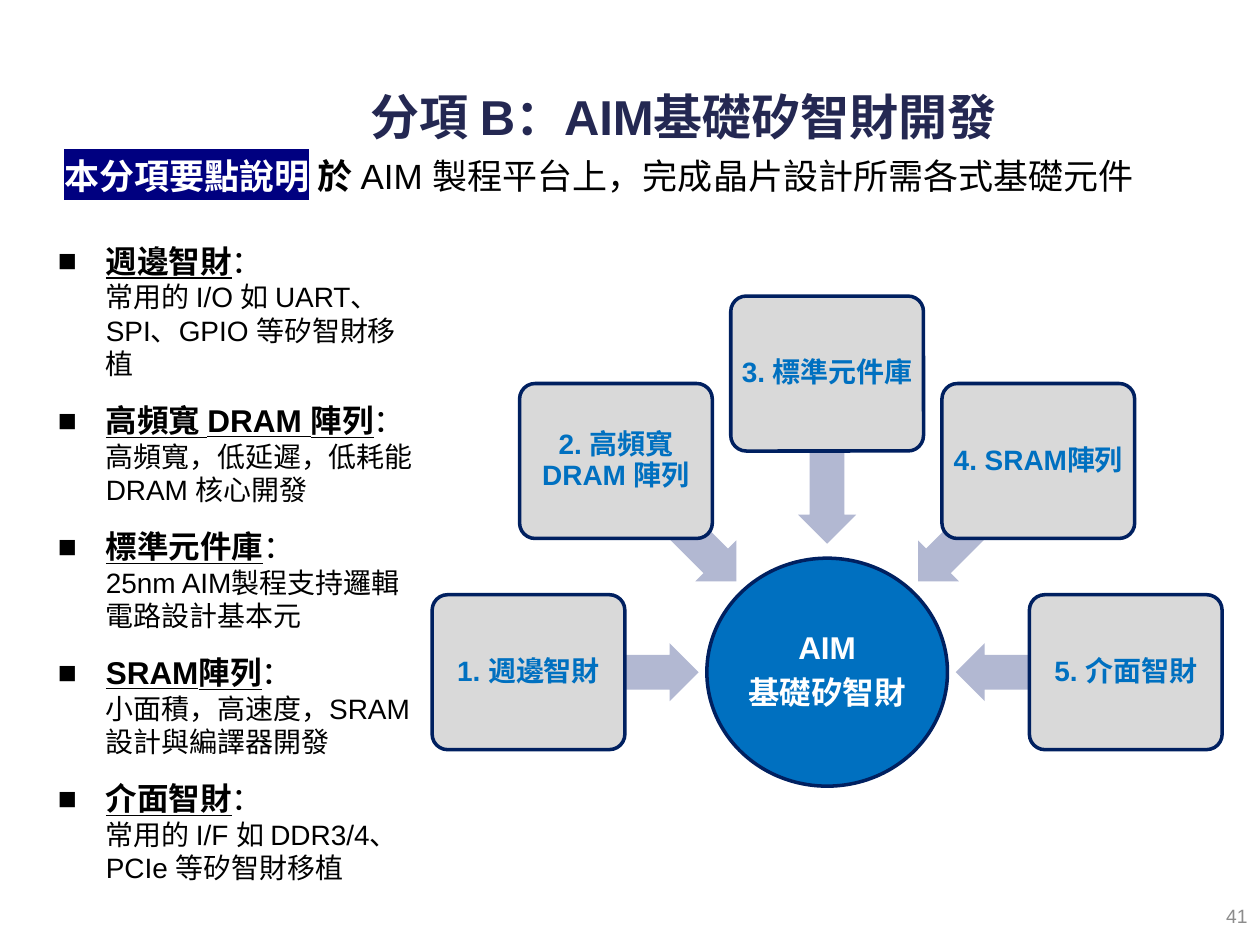
from math import cos, radians, sin

from lxml import etree
from pptx import Presentation, util as u
from pptx.dml.color import RGBColor
from pptx.enum import shapes, text
from pptx.oxml.ns import qn

NAVY = RGBColor(0x00, 0x20, 0x60)
BLUE = RGBColor(0x00, 0x70, 0xC0)
INK = RGBColor(0x24, 0x28, 0x52)
LILAC = RGBColor(0xB2, 0xB8, 0xD2)
PALE = RGBColor(0xD9, 0xD9, 0xD9)
GRAY = RGBColor(0x8C, 0x8C, 0x8C)
BLACK = RGBColor(0, 0, 0)
WHITE = RGBColor(0xFF, 0xFF, 0xFF)
MARK = RGBColor(0, 0, 0x80)

WIDE, HIGH = u.Inches(10), u.Inches(7.5)
COLS, ROWS = 100, 75
HUB = (65.65, 53.35)
FONT = "Arial"

TOPICS = [
    ([("週邊智財", True), ("：", False)],
     "常用的 I/O 如 UART、SPI、GPIO 等矽智財移植"),
    ([("高頻寬 DRAM 陣列", True), ("：", False)],
     "高頻寬，低延遲，低耗能 DRAM 核心開發"),
    ([("標準元件庫", True), ("：", False)],
     "25nm AIM製程支持邏輯電路設計基本元"),
    ([("SRAM陣列", True), ("：", False)],
     "小面積，高速度，SRAM 設計與編譯器開發"),
    ([("介面智財", True), ("：", False)],
     "常用的 I/F 如 DDR3/4、PCIe 等矽智財移植"),
]
PARTS = ["1. 週邊智財", "2. 高頻寬 DRAM 陣列", "3. 標準元件庫",
         "4. SRAM陣列", "5. 介面智財"]


def area(x, y, w, h):
    return (round(WIDE * x / COLS), round(HIGH * y / ROWS),
            round(WIDE * w / COLS), round(HIGH * h / ROWS))


def place(shape, *cells):
    shape.left, shape.top, shape.width, shape.height = area(*cells)


def write(para, words, size, color, bold=False, line=False):
    run = para.add_run()
    run.text = words
    font = run.font
    font.name, font.size, font.bold = FONT, u.Pt(size), bold
    font.color.rgb = color
    if line:
        font.underline = True
    return run


def mark(run, color):
    fill = run._r.rPr.find(qn("a:solidFill"))
    light = etree.Element(qn("a:highlight"))
    etree.SubElement(light, qn("a:srgbClr"), val=str(color))
    fill.addnext(light)


def inset(frame, left=0, top=0):
    frame.margin_left = frame.margin_right = u.Inches(left)
    frame.margin_top = frame.margin_bottom = u.Inches(top)


def label(slide, *cells):
    frame = slide.shapes.add_textbox(*area(*cells)).text_frame
    frame.word_wrap = True
    inset(frame, 0.1, 0.05)
    return frame.paragraphs[0]


def bullet(para):
    props = para._p.get_or_add_pPr()
    props.set("marL", str(u.Inches(0.38)))
    props.set("indent", str(u.Inches(-0.38)))
    etree.SubElement(props, qn("a:buFont"), typeface=FONT)
    etree.SubElement(props, qn("a:buChar"), char="■")


def fill_list(body):
    place(body, 4.6, 19.2, 29, 54)
    frame = body.text_frame
    frame.auto_size = text.MSO_AUTO_SIZE.NONE
    frame.vertical_anchor = text.MSO_ANCHOR.TOP
    inset(frame)
    for i, (head, note) in enumerate(TOPICS):
        para = frame.add_paragraph() if i else frame.paragraphs[0]
        para.space_before = u.Pt(12 if i else 0)
        bullet(para)
        for words, strong in head:
            write(para, words, 18, BLACK, strong, strong)
        para.add_line_break()
        etree.SubElement(para._p[-1], qn("a:rPr"), sz="1800")
        write(para, note, 16, BLACK)


def draw(slide, kind, mid, size, fill, adjust=(), line=None):
    (x, y), (w, h) = mid, size
    shape = slide.shapes.add_shape(kind, *area(x - w / 2, y - h / 2, w, h))
    shape.shadow.inherit = False
    shape.fill.solid()
    shape.fill.fore_color.rgb = fill
    for i, share in enumerate(adjust):
        shape.adjustments[i] = share
    if line is None:
        shape.line.fill.background()
    else:
        shape.line.color.rgb = line
        shape.line.width = u.Pt(2)
    return shape


def center(shape, lines, size, color):
    frame = shape.text_frame
    frame.word_wrap = True
    frame.vertical_anchor = text.MSO_ANCHOR.MIDDLE
    inset(frame, 0.03, 0.03)
    for i, words in enumerate(lines):
        para = frame.add_paragraph() if i else frame.paragraphs[0]
        para.alignment = text.PP_ALIGN.CENTER
        para.line_spacing = 0.9
        para.space_before = u.Pt(0.35 * size if i else 0)
        write(para, words, size, color, True)


def polar(angle, reach):
    turn = radians(angle)
    return HUB[0] + reach * cos(turn), HUB[1] + reach * sin(turn)


def draw_wheel(slide):
    kind = shapes.MSO_SHAPE
    hub = draw(slide, kind.OVAL, HUB, (19.1, 18.1), BLUE, line=NAVY)
    center(hub, ["AIM", "基礎矽智財"], 18, WHITE)
    for i, words in enumerate(PARTS):
        angle = 180 + 45 * i
        arrow = draw(slide, kind.LEFT_ARROW, polar(angle, 17),
                     (13.6, 4.6), LILAC, (0.6, 0.5))
        arrow.rotation = angle % 360
        box = draw(slide, kind.ROUNDED_RECTANGLE, polar(angle, 23.7),
                   (15.3, 12.3), PALE, (0.1,), NAVY)
        center(box, [words], 16, BLUE)


def main():
    deck = Presentation()
    deck.slide_width, deck.slide_height = WIDE, HIGH
    slide = deck.slides.add_slide(deck.slide_layouts[1])

    title = slide.shapes.title
    place(title, 13.5, 6.1, 81.5, 6.2)
    para = title.text_frame.paragraphs[0]
    para.alignment = text.PP_ALIGN.CENTER
    write(para, "分項 B：AIM基礎矽智財開發", 28, INK, True)

    fill_list(slide.placeholders[1])
    draw_wheel(slide)

    para = label(slide, 4.1, 11.8, 89.8, 4.4)
    mark(write(para, "本分項要點說明", 20, WHITE, True), MARK)
    write(para, " 於 ", 20, BLACK, True)
    write(para, "AIM 製程平台上，完成晶片設計所需各式基礎元件", 20, BLACK)

    para = label(slide, 77.9, 71.3, 22.1, 3.7)
    para.alignment = text.PP_ALIGN.RIGHT
    write(para, "41", 11, GRAY)
    deck.save("out.pptx")


if __name__ == "__main__":
    main()
